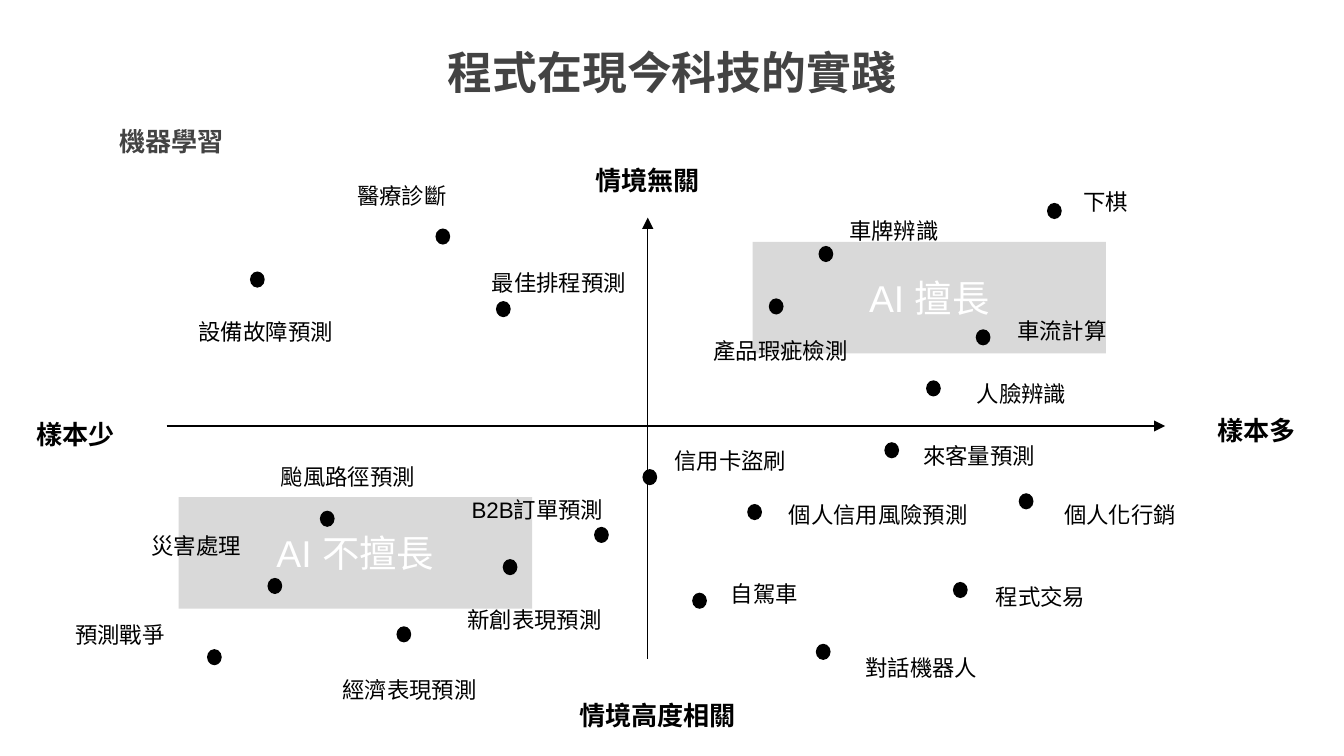
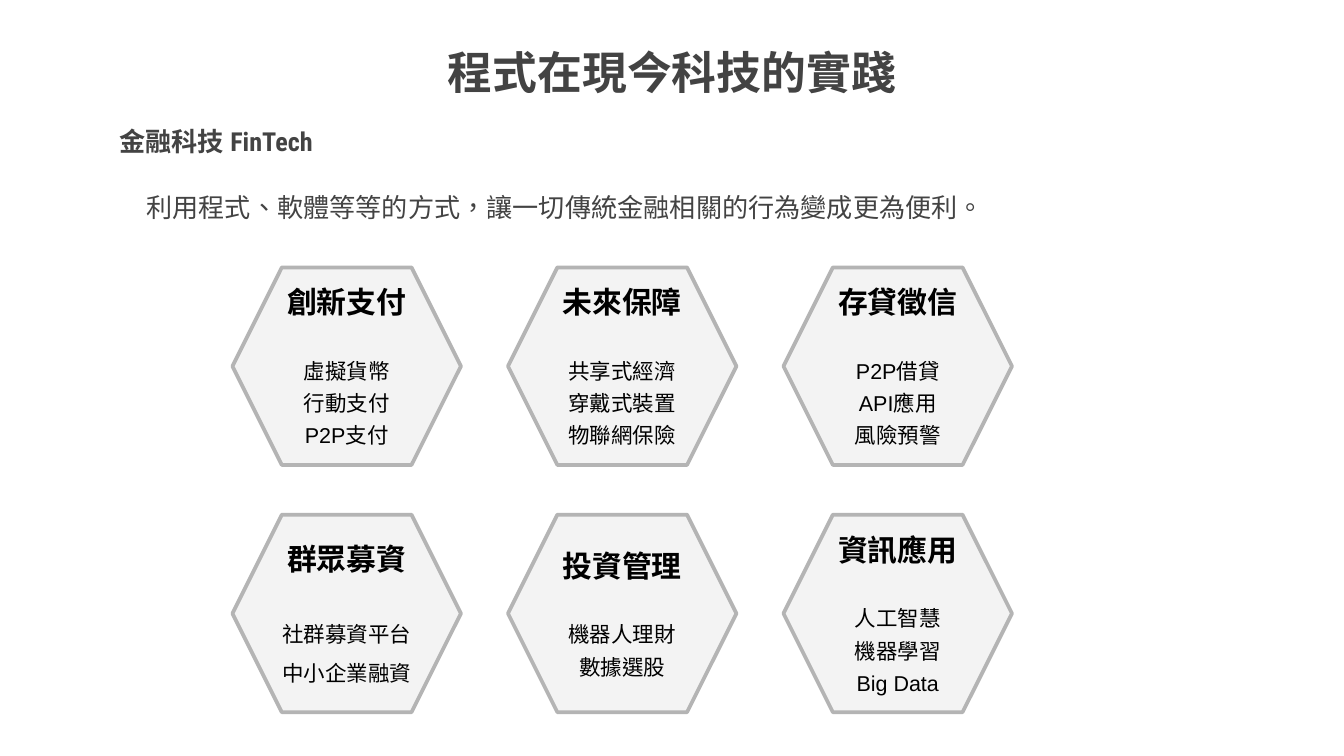
from lxml import etree
from pptx import Presentation
from pptx.dml.color import RGBColor
from pptx.enum.shapes import MSO_CONNECTOR as CONN, MSO_SHAPE as SHAPE
from pptx.enum.text import MSO_ANCHOR as ANCHOR, MSO_AUTO_SIZE as FIT, PP_ALIGN as ALIGN
from pptx.oxml.ns import qn
from pptx.util import Inches, Pt

BLACK, WHITE, DARK = "000000", "FFFFFF", "434343"
ZONE, HEX_FILL, HEX_LINE = "D9D9D9", "F3F3F3", "B4B4B4"
TITLE_FONT, HEAD_FONT, BODY_FONT = "Lato", "Roboto Condensed", "Arial"
TITLE = "程式在現今科技的實踐"
TEXT_INDENT = 0.17

# text, dot (left, top), label (left, top)
USE_CASES = [
    ("最佳排程預測", (3.69, 2.24), (3.39, 1.85)),
    ("醫療診斷", (3.24, 1.7), (2.39, 1.21)),
    ("設備故障預測", (1.86, 2.02), (1.21, 2.22)),
    ("颱風路徑預測", (2.38, 3.8), (1.82, 3.3)),
    ("災害處理", (1.99, 4.3), (0.86, 3.81)),
    ("預測戰爭", (1.54, 4.83), (0.29, 4.47)),
    ("經濟表現預測", (2.95, 4.66), (2.28, 4.88)),
    ("新創表現預測", (3.74, 4.16), (3.21, 4.36)),
    ("B2B訂單預測", (4.42, 3.92), (3.24, 3.54)),
    ("信用卡盜刷", (4.78, 3.49), (4.75, 3.18)),
    ("個人信用風險預測", (5.56, 3.75), (5.6, 3.58)),
    ("自駕車", (5.15, 4.41), (5.17, 4.17)),
    ("對話機器人", (6.07, 4.79), (6.17, 4.72)),
    ("程式交易", (7.09, 4.33), (7.14, 4.19)),
    ("個人化行銷", (7.58, 3.67), (7.65, 3.58)),
    ("來客量預測", (6.58, 3.29), (6.6, 3.14)),
    ("人臉辨識", (6.89, 2.83), (7, 2.68)),
    ("車流計算", (7.26, 2.45), (7.3, 2.21)),
    ("下棋", (7.79, 1.51), (7.79, 1.25)),
    ("車牌辨識", (6.09, 1.83), (6.05, 1.47)),
    ("產品瑕疵檢測", (5.72, 2.22), (5.04, 2.36)),
]

AXIS_NAMES = [
    ("情境無關", 4.16, 1.06, 5),
    ("情境高度相關", 4.04, 5.04, 5),
    ("樣本多", 8.79, 2.92, 1.21),
    ("樣本少", 0, 2.95, 5),
]

# heading, items, line spacing of the items
FINTECH_FIELDS = [
    ("創新支付", ["虛擬貨幣", "行動支付", "P2P支付"], 1.25),
    ("未來保障", ["共享式經濟", "穿戴式裝置", "物聯網保險"], 1.25),
    ("存貸徵信", ["P2P借貸", "API應用", "風險預警"], 1.25),
    ("群眾募資", ["社群募資平台", "中小企業融資"], 1.5),
    ("投資管理", ["機器人理財", "數據選股"], 1.25),
    ("資訊應用", ["人工智慧", "機器學習", "Big Data"], 1.25),
]


def rgb(color):
    return RGBColor.from_string(color)


def box(x, y, w, h):
    return [Inches(v) for v in (x, y, w, h)]


def write(p, text, size=12, font=BODY_FONT, color=BLACK, bold=False,
          align=ALIGN.LEFT, spacing=None, before=None, indent=0):
    """Fill one paragraph with a single formatted run."""
    p.alignment = align
    if spacing:
        p.line_spacing = spacing
    if before:
        p.space_before = Pt(before)
    if indent:
        pPr = p._p.get_or_add_pPr()
        pPr.set("marL", str(Inches(indent)))
        pPr.set("indent", "0")
    r = p.add_run()
    r.text = text
    r.font.size, r.font.name, r.font.bold = Pt(size), font, bold
    r.font.color.rgb = rgb(color)
    rPr = r._r.get_or_add_rPr()
    rPr.set("lang", "zh-TW")
    etree.SubElement(rPr, qn("a:ea")).set("typeface", font)


def set_frame(tf, inset=None, anchor=ANCHOR.TOP, fit=FIT.NONE):
    tf.word_wrap, tf.auto_size, tf.vertical_anchor = True, fit, anchor
    if inset is not None:
        tf.margin_left = tf.margin_right = Inches(inset)
        tf.margin_top = tf.margin_bottom = Inches(inset)


def add_text(slide, text, x, y, w, h, inset=None, fit=FIT.NONE, **fmt):
    tf = slide.shapes.add_textbox(*box(x, y, w, h)).text_frame
    set_frame(tf, inset, fit=fit)
    write(tf.paragraphs[0], text, **fmt)


def add_label(slide, text, x, y, w, h=0.37, **fmt):
    add_text(slide, text, x, y, w, h, fit=FIT.SHAPE_TO_FIT_TEXT,
             spacing=1.5, indent=TEXT_INDENT, **fmt)


def add_shape(slide, kind, x, y, w, h, fill, line=None):
    sp = slide.shapes.add_shape(kind, *box(x, y, w, h))
    sp.shadow.inherit = False
    sp.fill.solid()
    sp.fill.fore_color.rgb = rgb(fill)
    if line:
        sp.line.color.rgb = rgb(line)
        sp.line.width = Pt(2)
    else:
        sp.line.fill.background()
    return sp


def add_zone(slide, text, x, y):
    sp = add_shape(slide, SHAPE.RECTANGLE, x, y, 2.63, 0.83, ZONE)
    set_frame(sp.text_frame, anchor=ANCHOR.MIDDLE)
    write(sp.text_frame.paragraphs[0], text, size=20, color=WHITE, align=ALIGN.CENTER)


def add_axis(slide, x1, y1, x2, y2):
    """Draw an arrow that points at its second end."""
    axis = slide.shapes.add_connector(CONN.STRAIGHT, *box(x1, y1, x2, y2))
    axis.line.color.rgb = rgb(BLACK)
    axis.line.width = Pt(0.75)
    etree.SubElement(axis.line._get_or_add_ln(), qn("a:tailEnd")).set("type", "triangle")
    etree.SubElement(axis._element.spPr, qn("a:effectLst"))


def add_hexagon(slide, heading, items, spacing, x, y):
    sp = add_shape(slide, SHAPE.HEXAGON, x, y, 1.7, 1.47, HEX_FILL, HEX_LINE)
    tf = sp.text_frame
    set_frame(tf, anchor=ANCHOR.MIDDLE)
    write(tf.paragraphs[0], heading, size=16, bold=True, align=ALIGN.CENTER)
    for i, item in enumerate(items):
        write(tf.add_paragraph(), item, size=11.5, align=ALIGN.CENTER,
              spacing=spacing, before=0 if i else 17)


def add_slide(prs, topic):
    """Add a slide with the shared title and its own topic line."""
    slide = prs.slides.add_slide(prs.slide_layouts[5])
    title = slide.shapes.title
    title.left, title.top, title.width, title.height = box(2.15, 0.23, 5.7, 1.03)
    set_frame(title.text_frame, inset=0.1)
    write(title.text_frame.paragraphs[0], TITLE, size=24, font=TITLE_FONT,
          color=DARK, bold=True, align=ALIGN.CENTER)
    add_text(slide, topic, 0.79, 0.83, 8.42, 0.44, inset=0.1, size=14,
             font=HEAD_FONT, color=DARK, bold=True)
    return slide


def add_machine_learning(prs):
    slide = add_slide(prs, "機器學習")
    add_zone(slide, "AI 不擅長", 1.33, 3.7)
    add_zone(slide, "AI 擅長", 5.6, 1.8)
    add_axis(slide, 1.24, 3.17, 8.67, 3.17)
    add_axis(slide, 4.82, 4.9, 4.82, 1.62)
    for text, x, y, w in AXIS_NAMES:
        add_label(slide, text, x, y, w, 0.41, size=14, bold=True)
    for _, dot, _ in USE_CASES:
        add_shape(slide, SHAPE.OVAL, *dot, 0.11, 0.12, BLACK)
    for text, _, (x, y) in USE_CASES:
        add_label(slide, text, x, y, 1.46 if x < 5 else 1.8)


def add_fintech(prs):
    slide = add_slide(prs, "金融科技 FinTech")
    add_text(slide, "利用程式、軟體等等的方式，讓一切傳統金融相關的行為變成更為便利。",
             0.82, 1.29, 8.21, 2.19, inset=0.1, size=14, font=HEAD_FONT,
             color=DARK, spacing=1.15, indent=TEXT_INDENT)
    for i, field in enumerate(FINTECH_FIELDS):
        row, col = divmod(i, 3)
        add_hexagon(slide, *field, 1.73 + 2.05 * col, 1.99 + 1.84 * row)


def main():
    prs = Presentation()
    prs.slide_width = Inches(10)
    prs.slide_height = prs.slide_width * 9 // 16
    add_machine_learning(prs)
    add_fintech(prs)
    prs.save("out.pptx")


if __name__ == "__main__":
    main()
